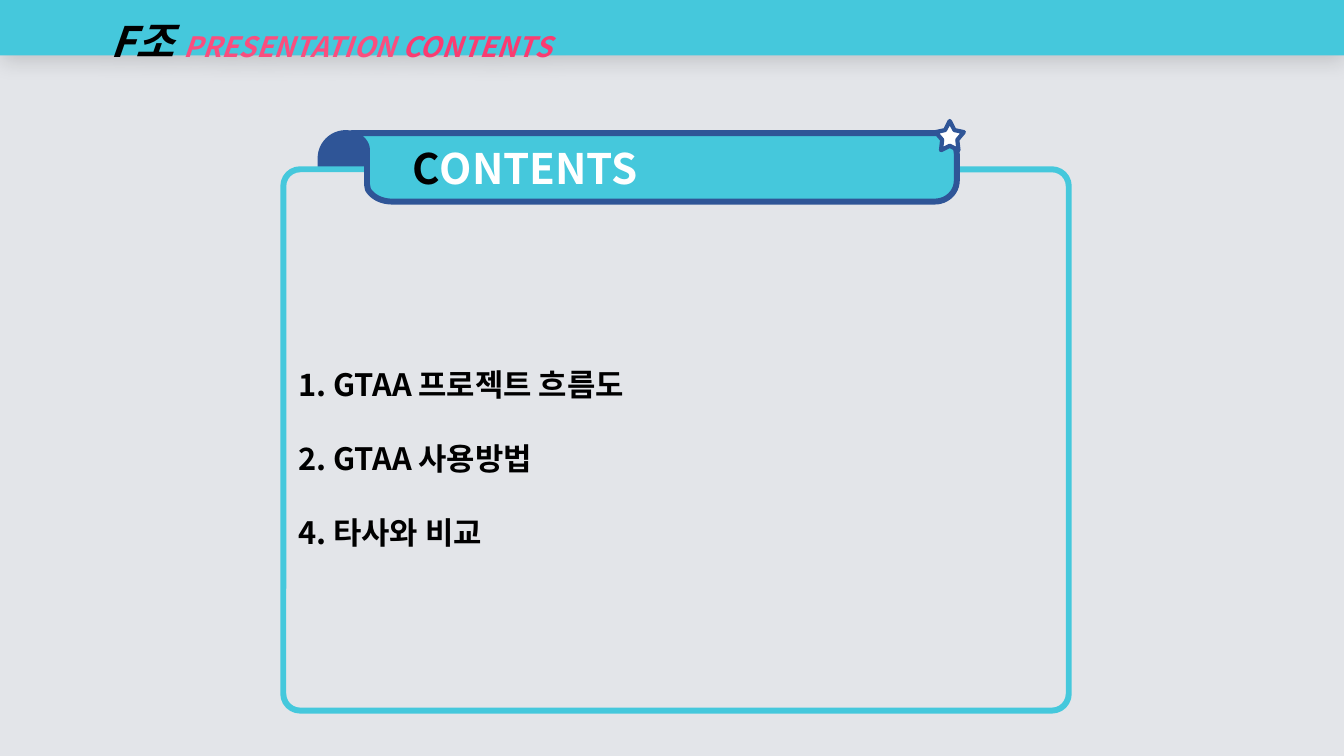
from dataclasses import dataclass

from lxml import etree
from pptx import Presentation
from pptx import util as u
from pptx.dml.color import RGBColor
from pptx.enum import shapes, text
from pptx.oxml.ns import qn


@dataclass(frozen=True)
class Theme:
    font: str = "Noto Sans CJK KR"
    back: str = "E3E5E9"
    teal: str = "45C8DC"
    navy: str = "2F5597"
    black: str = "000000"
    white: str = "FFFFFF"
    pink: str = "FA4E7E"
    rose: str = "FA3C71"
    title: int = 30
    body: int = 22
    subtitle: int = 20
    border: float = 4.25
    thin: float = 3


def bezier(p0, p1, p2, p3, steps=12):
    """Points along a cubic curve, without its start."""
    for i in range(1, steps + 1):
        t = i / steps
        k = ((1 - t) ** 3, 3 * t * (1 - t) ** 2, 3 * t * t * (1 - t), t ** 3)
        yield tuple(sum(w * p[axis] for w, p in zip(k, (p0, p1, p2, p3)))
                    for axis in (0, 1))


class Deck:
    def __init__(self, theme):
        self.theme = theme
        self.prs = Presentation()
        self.prs.slide_width = u.Inches(13.33)
        self.prs.slide_height = u.Inches(7.5)
        self.s = self.prs.slides.add_slide(self.prs.slide_layouts[6])
        fill = self.s.background.fill
        fill.solid()
        fill.fore_color.rgb = RGBColor.from_string(theme.back)

    def paint(self, sp, fill, line=None, width=0):
        sp.shadow.inherit = False
        sp.fill.solid()
        sp.fill.fore_color.rgb = RGBColor.from_string(fill)
        if line:
            sp.line.color.rgb = RGBColor.from_string(line)
            sp.line.width = u.Pt(width)
        else:
            sp.line.fill.background()
        return sp

    def shape(self, kind, at, fill, line=None, width=0, adj=()):
        sp = self.s.shapes.add_shape(kind, *map(u.Inches, at))
        for i, value in enumerate(adj):
            sp.adjustments[i] = value
        return self.paint(sp, fill, line, width)

    def outline(self, start, steps, fill, line, width):
        """Each step is one point for a line, three for a curve."""
        points = [start]
        for step in steps:
            points += step if len(step) == 1 else bezier(points[-1], *step)
        emu = [tuple(map(u.Inches, p)) for p in points]
        fb = self.s.shapes.build_freeform(*emu[0])
        fb.add_line_segments(emu[1:], close=True)
        return self.paint(fb.convert_to_shape(), fill, line, width)

    def add_text(self, sp, paragraphs, level=0, spacing=1, italic=False):
        """Each paragraph is a list of (wording, size, colour) runs."""
        tf = sp.text_frame
        tf.word_wrap = True
        tf.vertical_anchor = text.MSO_ANCHOR.MIDDLE
        for i, runs in enumerate(paragraphs):
            p = tf.add_paragraph() if i else tf.paragraphs[0]
            p.alignment = text.PP_ALIGN.LEFT
            p.level = level
            p.line_spacing = spacing
            pPr = p._p.get_or_add_pPr()
            pPr.set("marL", str(u.Inches(0.5 * level)))
            pPr.set("indent", "0")
            for wording, size, color in runs:
                r = p.add_run()
                r.text = wording
                r.font.size = u.Pt(size)
                r.font.bold = True
                r.font.italic = italic
                r.font.color.rgb = RGBColor.from_string(color)
                r.font.name = self.theme.font
                ea = etree.SubElement(r.font._element, qn("a:ea"))
                ea.set("typeface", self.theme.font)

    def drop_shadow(self, sp, color, alpha, blur, dist, angle):
        effects = sp._element.spPr.find(qn("a:effectLst"))
        shadow = etree.SubElement(
            effects, qn("a:outerShdw"), blurRad=str(u.Pt(blur)),
            dist=str(u.Pt(dist)), dir=str(angle * 60000), algn="t", rotWithShape="0")
        clr = etree.SubElement(shadow, qn("a:srgbClr"), val=color)
        etree.SubElement(clr, qn("a:alpha"), val=str(alpha * 1000))


def main():
    th = Theme()
    deck = Deck(th)
    kinds = shapes.MSO_SHAPE

    # Fold of the ribbon, behind the panel
    deck.shape(kinds.ROUND_2_SAME_RECTANGLE, (3.18, 1.32, 0.5, 0.98),
               th.navy, th.navy, th.border, (0.5, 0))

    # Panel with the list of contents
    panel = deck.shape(kinds.ROUNDED_RECTANGLE, (2.81, 1.68, 7.79, 5.37),
                       th.back, th.teal, th.border, (0.031,))
    items = ("1. GTAA 프로젝트 흐름도", "2. GTAA 사용방법", "4. 타사와 비교")
    deck.add_text(panel, [[(item, th.body, th.black)] for item in items], spacing=2)

    # Ribbon with the heading
    ribbon = deck.outline((3.49, 1.32), [
        [(9.27, 1.32)],
        [(9.39, 1.32), (9.49, 1.42), (9.49, 1.53)],
        [(9.49, 1.79)],
        [(9.49, 1.91), (9.39, 2), (9.27, 2)],
        [(3.89, 2)],
        [(3.78, 2), (3.69, 1.95), (3.65, 1.88)],
        [(3.64, 1.83)],
        [(3.64, 1.49)],
        [(3.64, 1.43), (3.6, 1.37), (3.53, 1.35)],
        [(3.49, 1.34)],
    ], th.teal, th.navy, th.border)
    deck.add_text(ribbon, [[("C", th.title, th.black), ("ONTENTS", th.title, th.white)]],
                  level=1)

    # Star on the ribbon's corner
    deck.shape(kinds.STAR_5_POINT, (9.28, 1.2, 0.28, 0.29),
               th.white, th.navy, th.thin, (0.269,))

    # Header bar
    header = deck.shape(kinds.RECTANGLE, (0, 0, 13.33, 0.55), th.teal)
    deck.drop_shadow(header, th.black, alpha=15, blur=15, dist=3, angle=90)
    deck.add_text(header, [[("F조 ", th.title, th.black),
                            ("PRESENTATION ", th.subtitle, th.pink),
                            ("CONTENTS", th.subtitle, th.rose)]],
                  level=2, spacing=1.5, italic=True)

    deck.prs.save("out.pptx")


if __name__ == "__main__":
    main()
